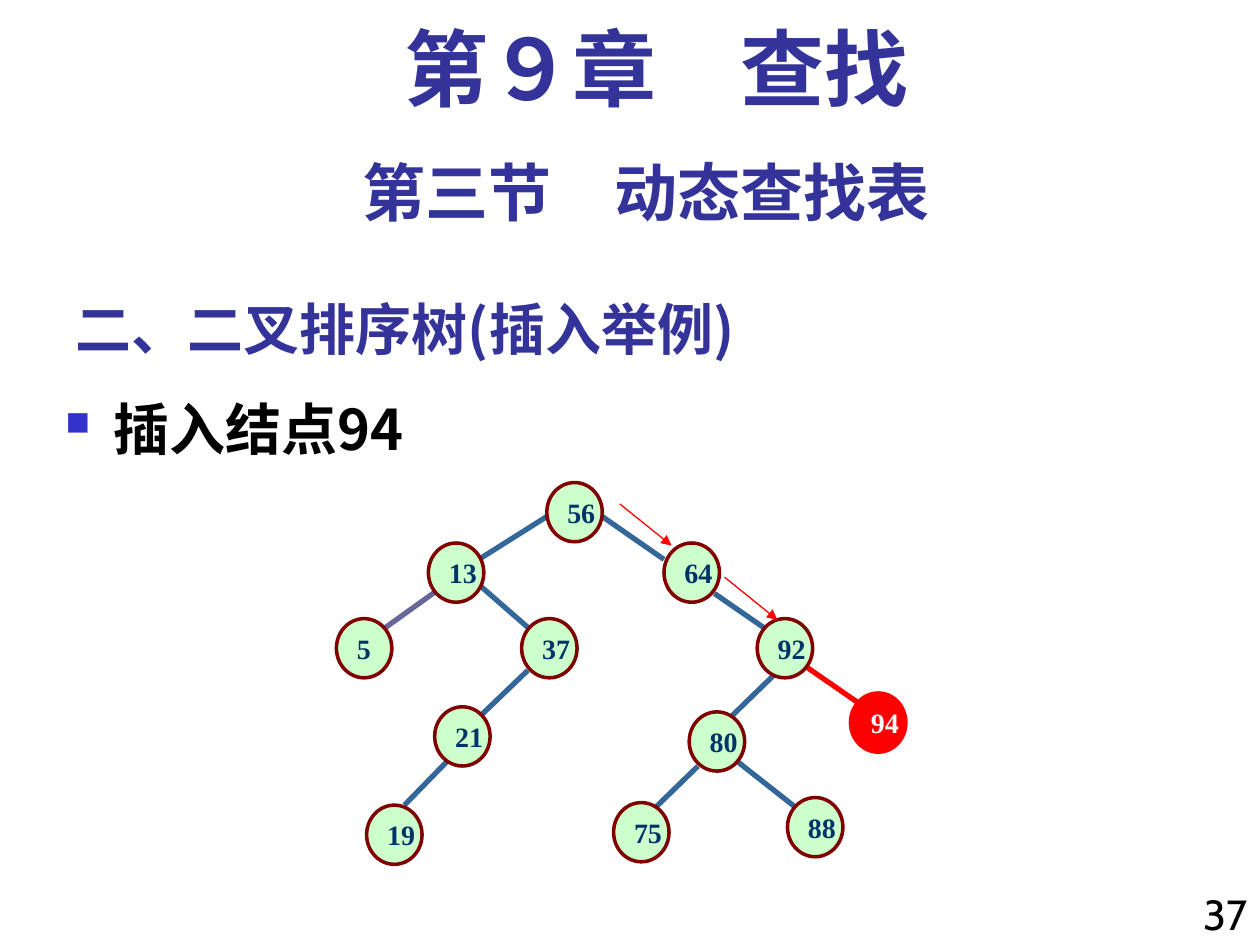
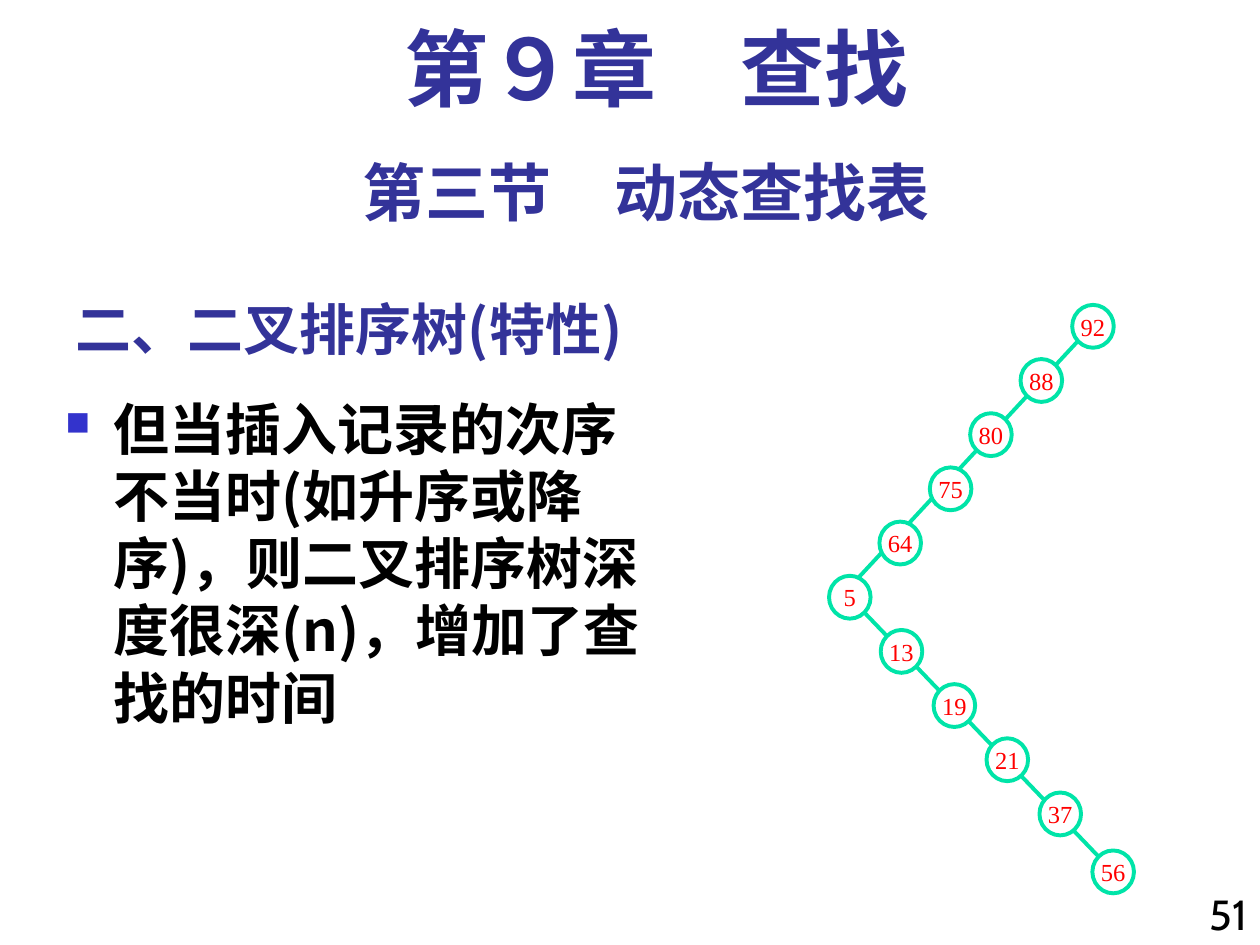
from lxml.etree import SubElement
from pptx import Presentation
from pptx.dml.color import RGBColor
from pptx.enum.shapes import MSO_CONNECTOR, MSO_SHAPE
from pptx.enum.text import MSO_ANCHOR, PP_ALIGN
from pptx.oxml.ns import qn
from pptx.util import Inches, Pt

CHAPTER = "第９章\u3000查找".replace("\u3000", "　")
SECTION = "第三节　动态查找表"
INSERTION = {"heading": "二、二叉排序树(插入举例)", "body": "插入结点94",
             "body_width": 9.58, "number": "37"}
PROPERTIES = {"heading": "二、二叉排序树(特性)",
              "body": "但当插入记录的次序不当时(如升序或降序)，则二叉排序树深度很深(n)，增加了查找的时间",
              "body_width": 4.92, "number": "51"}

HEADING, BLACK, BULLET = "333399", "000000", "3333CC"
RED, WHITE, MINT = "FF0000", "FFFFFF", "00E4A8"
STEEL, VIOLET = "336699", "666699"
SANS, SERIF, CABIN = "Noto Sans CJK SC", "Times New Roman", "Cabin"

TREE_NODE = {"size": (0.44, 0.47), "fill": "CCFFCC", "line": "800000", "line_width": 2,
             "color": "003366", "font_size": 16, "bold": True, "align": PP_ALIGN.LEFT}
NEW_NODE = {**TREE_NODE, "fill": RED, "line": RED, "color": WHITE}
CHAIN_NODE = {"size": (0.33, 0.34), "fill": WHITE, "line": MINT, "line_width": 2.25,
              "color": RED, "font_size": 14, "bold": False, "align": PP_ALIGN.CENTER}

# Key: left, top of each tree node
TREE = {56: (4.34, 3.83), 13: (3.4, 4.31), 64: (5.27, 4.31), 5: (2.67, 4.91),
        37: (4.14, 4.91), 92: (6.01, 4.91), 21: (3.45, 5.61), 80: (5.47, 5.65),
        19: (2.91, 6.39), 75: (4.87, 6.37), 88: (6.25, 6.33)}
INSERTED = {94: (6.75, 5.5)}
# Start, end, colour of each branch
BRANCHES = [((4.34, 4.1), (3.8, 4.44), STEEL), ((4.78, 4.1), (5.27, 4.44), STEEL),
            ((3.45, 4.7), (3.06, 4.98), VIOLET), ((3.8, 4.64), (4.19, 4.98), STEEL),
            ((5.67, 4.71), (6.06, 4.98), STEEL), ((4.19, 5.32), (3.71, 5.78), STEEL),
            ((6.14, 5.36), (5.77, 5.72), STEEL), ((3.6, 5.99), (3.21, 6.39), STEEL),
            ((5.54, 6.08), (5.17, 6.44), STEEL), ((5.86, 6.05), (6.33, 6.42), STEEL),
            ((6.41, 5.3), (6.8, 5.57), RED)]
SEARCH_STEPS = [((4.92, 4), (5.33, 4.33)), ((5.75, 4.58), (6.17, 4.92))]

# Key and left of the falling chain, key and top of the rising chain
FALLING = [(92, 8.51), (88, 8.1), (80, 7.7), (75, 7.38), (64, 6.98), (5, 6.58)]
FALLING_TOP, FALLING_STEP = 2.42, 0.43
RISING = [(13, 5), (19, 5.43), (21, 5.86), (37, 6.29), (56, 6.75)]
RISING_LEFT, RISING_STEP = 6.99, 0.42
CHAIN_LINES = [((8.58, 2.68), (6.66, 4.75)), ((6.83, 4.83), (8.73, 6.81))]


def rgb(value):
    return RGBColor.from_string(value)


def format_text(paragraph, size, font, color, bold=False):
    for run in paragraph.runs:
        run.font.size, run.font.name, run.font.bold = Pt(size), font, bold
        run.font.color.rgb = rgb(color)
        SubElement(run.font._element, qn("a:ea")).set("typeface", SANS)


def add_text(slide, text, box, size, font, color, bold=True,
             align=PP_ALIGN.LEFT, anchor=MSO_ANCHOR.TOP):
    frame = slide.shapes.add_textbox(*map(Inches, box)).text_frame
    frame.word_wrap, frame.vertical_anchor = True, anchor
    frame.text = text
    paragraph = frame.paragraphs[0]
    paragraph.alignment = align
    format_text(paragraph, size, font, color, bold)
    return paragraph


def add_square_bullet(paragraph):
    properties = paragraph._p.get_or_add_pPr()
    properties.set("marL", str(Inches(0.38)))
    properties.set("indent", str(-Inches(0.38)))
    color = SubElement(properties, qn("a:buClr"))
    SubElement(color, qn("a:srgbClr")).set("val", BULLET)
    SubElement(properties, qn("a:buSzPct")).set("val", "60000")
    SubElement(properties, qn("a:buChar")).set("char", "■")


def add_line(slide, start, end, color, width, arrow=False):
    connector = slide.shapes.add_connector(
        MSO_CONNECTOR.STRAIGHT, *map(Inches, start + end))
    connector.line.color.rgb, connector.line.width = rgb(color), Pt(width)
    if arrow:
        SubElement(connector.line._get_or_add_ln(), qn("a:tailEnd")).set("type", "triangle")
    SubElement(connector._element.spPr, qn("a:effectLst"))


def add_node(slide, key, position, style):
    node = slide.shapes.add_shape(MSO_SHAPE.OVAL, *map(Inches, position + style["size"]))
    node.shadow.inherit = False
    node.fill.solid()
    node.fill.fore_color.rgb = rgb(style["fill"])
    node.line.color.rgb, node.line.width = rgb(style["line"]), Pt(style["line_width"])
    frame = node.text_frame
    frame.word_wrap, frame.vertical_anchor = False, MSO_ANCHOR.MIDDLE
    frame.text = str(key)
    frame.paragraphs[0].alignment = style["align"]
    format_text(frame.paragraphs[0], style["font_size"], SERIF, style["color"], style["bold"])


def add_lecture_slide(presentation, content):
    slide = presentation.slides.add_slide(presentation.slide_layouts[6])
    chapter = add_text(slide, CHAPTER, (0.67, 0.17, 9.08, 0.83), 48, SERIF, HEADING,
                       align=PP_ALIGN.CENTER)
    chapter.line_spacing = 0.9
    add_text(slide, SECTION, (0.5, 1.17, 9.25, 0.7), 36, CABIN, HEADING,
             align=PP_ALIGN.CENTER)
    add_text(slide, content["heading"], (0.5, 2.17, 6.25, 0.75), 32, SANS, HEADING,
             anchor=MSO_ANCHOR.BOTTOM)
    body = add_text(slide, content["body"], (0.42, 3.08, content["body_width"], 4.42),
                    32, SANS, BLACK)
    add_square_bullet(body)
    add_text(slide, content["number"], (9.33, 7, 0.67, 0.59), 24, CABIN, BLACK,
             bold=False, align=PP_ALIGN.RIGHT)
    return slide


def draw_insertion(slide):
    for start, end, color in BRANCHES:
        add_line(slide, start, end, color, 3)
    for nodes, style in ((TREE, TREE_NODE), (INSERTED, NEW_NODE)):
        for key, position in nodes.items():
            add_node(slide, key, position, style)
    for start, end in SEARCH_STEPS:
        add_line(slide, start, end, RED, 0.75, arrow=True)


def draw_degenerate_chains(slide):
    for start, end in CHAIN_LINES:
        add_line(slide, start, end, MINT, 2.25)
    for index, (key, left) in enumerate(FALLING):
        add_node(slide, key, (left, FALLING_TOP + index * FALLING_STEP), CHAIN_NODE)
    for index, (key, top) in enumerate(RISING):
        add_node(slide, key, (RISING_LEFT + index * RISING_STEP, top), CHAIN_NODE)


def main():
    presentation = Presentation()
    presentation.slide_width, presentation.slide_height = Inches(10), Inches(7.5)
    draw_insertion(add_lecture_slide(presentation, INSERTION))
    draw_degenerate_chains(add_lecture_slide(presentation, PROPERTIES))
    presentation.save("out.pptx")


if __name__ == "__main__":
    main()
